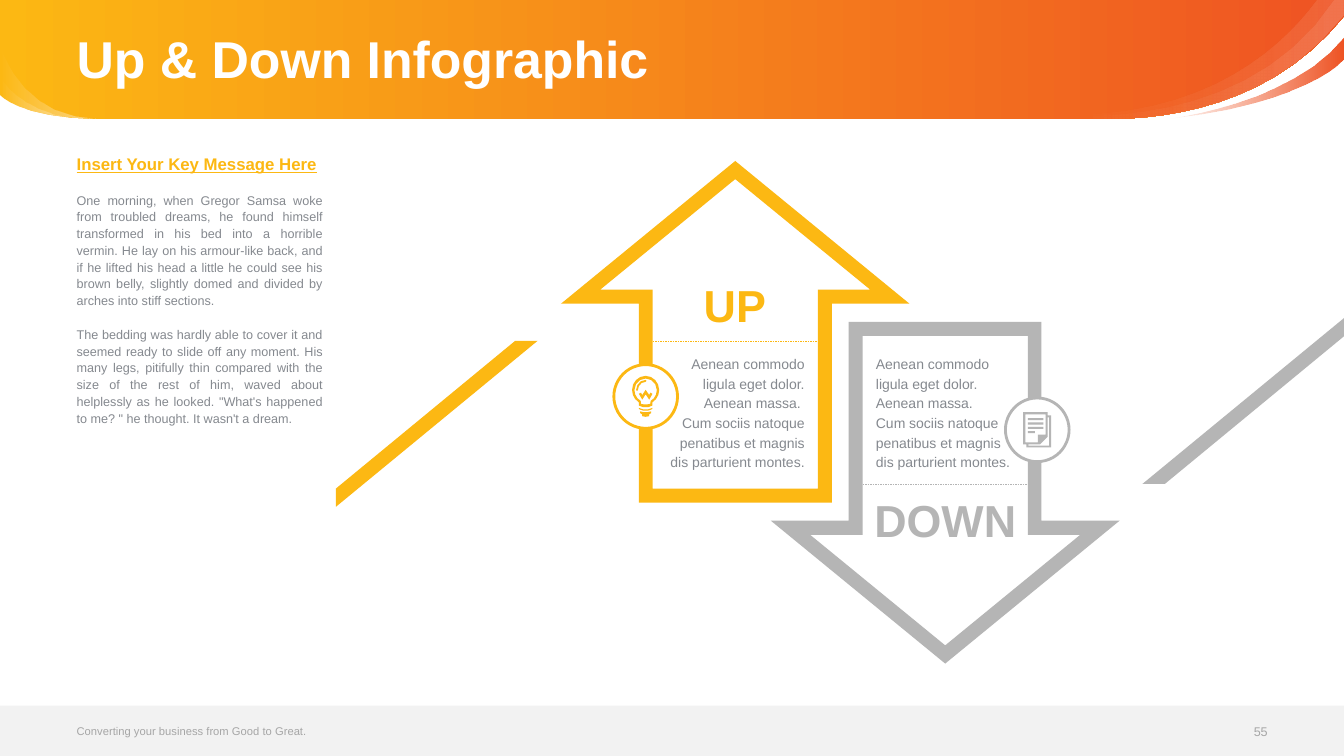
from math import dist, sqrt

from lxml.etree import SubElement
from pptx import Presentation
from pptx.dml.color import RGBColor
from pptx.enum.dml import MSO_LINE
from pptx.enum.shapes import MSO_CONNECTOR, MSO_SHAPE
from pptx.enum.text import MSO_ANCHOR, MSO_AUTO_SIZE, PP_ALIGN
from pptx.oxml.ns import qn
from pptx.util import Pt

COLORS = {"amber": "FCB813", "red": "EF5323", "silver": "B5B5B5", "text": "85898F",
          "muted": "A6A6A6", "footer": "F2F2F2", "white": "FFFFFF"}
WIDTH, HEIGHT = 960, 540
MARGIN = 54.75
ARROW_SIZE = (249, 244)
BAR_SIZE = (144, 118.5)

ARROW = [
    [(193.5, 244), (55.75, 244), (55.75, 102), (0, 102), (124.5, 0), (249, 102), (193.5, 102)],
    [(65.5, 234), (183.5, 234), (183.5, 92), (221, 92), (124.5, 13), (28, 92), (65.5, 92)],
]
BAR = [[(144, 0), (0, 118.5), (0, 105.5), (128, 0)]]
DOCUMENT = [
    [(17.5, 2.2), (17.5, 0), (0, 0), (0, 23), (2.2, 23), (2.2, 25), (20, 25), (20, 2.2)],
    [(1.5, 21.6), (1.5, 1.5), (16, 1.5), (16, 16), (10.5, 16), (10.5, 21.6)],
    [(18.5, 23.8), (3.7, 23.8), (3.7, 23), (12, 23), (17.5, 17.5), (17.5, 3.7), (18.5, 3.7)],
] + [
    [(3.4, y), (right, y), (right, y + 1.5), (3.4, y + 1.5)]
    for y, right in ((4.2, 14.4), (7.3, 14.4), (10.4, 14.4), (13.5, 8.4))
]
# Each step is a point, or two control points followed by an end point.
BULB = [
    [(9.7, 0), (4.3, 0, 0, 4.6, 0, 10.1), (0, 13.7, 1.8, 17, 4.8, 18.9), (4.8, 21.2),
     (7.5, 23, 11.9, 23, 14.6, 21.2), (14.6, 18.9),
     (17.6, 17, 19.4, 13.7, 19.4, 10.1), (19.4, 4.6, 15, 0, 9.7, 0)],
    [(13.3, 17.9), (13, 20), (11, 20.6, 8.4, 20.6, 6.4, 20),
     (6.2, 17.9), (3.5, 16.4, 1.7, 13.5, 1.7, 10.1), (1.7, 5.6, 5.3, 1.9, 9.7, 1.9),
     (14.1, 1.9, 17.7, 5.6, 17.7, 10.1), (17.7, 13.5, 16, 16.4, 13.3, 17.9)],
    [(9.7, 4.3), (10.4, 3.6), (9.7, 2.9), (6, 2.9, 2.9, 6.2, 2.9, 10.1),
     (3.6, 10.8), (4.2, 10.1), (4.2, 6.9, 6.7, 4.3, 9.7, 4.3)],
    [(12.3, 13.7), (9.7, 10), (7.3, 13.7), (6.4, 12), (4.9, 12.8), (7.3, 17),
     (9.7, 13.2), (12.3, 17), (14.6, 12.8), (13.1, 12)],
    [(4.8, 22.9), (5, 23.8), (7.5, 25.4, 11.9, 25.4, 14.4, 23.8),
     (14.6, 22.9), (11.9, 24.4, 7.5, 24.4, 4.8, 22.9)],
    [(5.8, 25.4), (5.8, 26.6), (7.2, 27.5), (7.2, 28.8), (8.7, 29.4, 10.7, 29.4, 12.2, 28.8),
     (12.2, 27.5), (13.6, 26.6), (13.6, 25.4), (11, 26.2, 8.4, 26.2, 5.8, 25.4)],
]
# Outline, then gradient stops as (position, colour, opacity in percent).
HEADER = [
    ([(960, 0), (960, 11.5), (911.5, 72, 842.4, 84.2, 795.6, 85), (70, 85),
      (13, 84.2, 0, 67.7, 0, 67.7), (0, 0)],
     [(0, "amber", 100), (1, "red", 100)]),
    ([(960, 0), (960, 11.5), (881.3, 110.2, 748, 81.4, 744.5, 80.6),
      (748.8, 80.6, 887, 100, 953.3, 0)],
     [(0.15, "white", 0), (1, "white", 10)]),
    ([(833, 85), (833, 85, 923, 74.2, 960, 26.6), (960, 42.5),
      (960, 42.5, 931.7, 74.9, 833, 85)],
     [(0, "red", 0), (1, "red", 100)]),
    ([(960, 0), (960, 11.5), (880.6, 111.6, 744.5, 80.6, 744.5, 80.6),
      (856, 87.8, 914.4, 36, 941, 0)],
     [(0.15, "white", 0), (1, "white", 10)]),
] + [
    ([(70, 85), (13, 84.2, 0, 67.7, 0, 67.7), (0, top), (0, top, 13, 84.2, 70, 85)],
     [(0, "white", 0), (1, "white", 50)])
    for top in (54.7, 32.4)
]


def rgb(name):
    return RGBColor.from_string(COLORS[name])


def flatten(steps):
    """Turn lines and cubic curves into points, with fewer points on shorter curves."""
    points = [steps[0]]
    for step in steps[1:]:
        if len(step) == 2:
            points.append(step)
            continue
        knots = [points[-1], step[:2], step[2:4], step[4:]]
        pieces = max(2, round(sqrt(dist(knots[0], knots[3]))))
        for i in range(1, pieces + 1):
            t = i / pieces
            weights = ((1 - t) ** 3, 3 * t * (1 - t) ** 2, 3 * t * t * (1 - t), t ** 3)
            points.append(tuple(sum(w * k[axis] for w, k in zip(weights, knots)) for axis in (0, 1)))
    return points


def add_outline(slide, contours, left, top, color=None, turned=None):
    """Draw contours as one shape; turned is the size of a box to rotate by half a turn."""
    builder = None
    for contour in contours:
        points = flatten(contour)
        if turned:
            points = [(turned[0] - x, turned[1] - y) for x, y in points]
        start, *rest = [(Pt(left + x), Pt(top + y)) for x, y in points]
        if builder is None:
            builder = slide.shapes.build_freeform(*start)
        else:
            builder.move_to(*start)
        builder.add_line_segments(rest, close=True)
    outline = builder.convert_to_shape()
    outline.shadow.inherit = False
    outline.line.fill.background()
    if color:
        outline.fill.solid()
        outline.fill.fore_color.rgb = rgb(color)
    return outline


def add_preset(slide, kind, left, top, width, height, fill, line=None):
    preset = slide.shapes.add_shape(kind, Pt(left), Pt(top), Pt(width), Pt(height))
    preset.shadow.inherit = False
    preset.fill.solid()
    preset.fill.fore_color.rgb = rgb(fill)
    if line:
        preset.line.color.rgb = rgb(line)
        preset.line.width = Pt(2)
    else:
        preset.line.fill.background()


def place(holder, left, top, width, height, anchor=MSO_ANCHOR.TOP):
    holder.left, holder.top, holder.width, holder.height = Pt(left), Pt(top), Pt(width), Pt(height)
    frame = holder.text_frame
    frame.margin_left = frame.margin_right = frame.margin_top = frame.margin_bottom = 0
    frame.word_wrap = True
    frame.auto_size = MSO_AUTO_SIZE.NONE
    frame.vertical_anchor = anchor
    return frame


def write(frame, texts, size, color, align=PP_ALIGN.LEFT, bold=False, spacing=None):
    paragraphs = []
    for i, text in enumerate(texts):
        paragraph = frame.add_paragraph() if i or frame.text else frame.paragraphs[0]
        paragraph.alignment = align
        paragraph.space_before = Pt(0)
        if spacing:
            paragraph.line_spacing = spacing
        run = paragraph.add_run()
        run.text = text
        run.font.name, run.font.size, run.font.bold = "Arial", Pt(size), bold
        run.font.color.rgb = rgb(color)
        paragraphs.append(paragraph)
    return paragraphs


def add_label(slide, box, texts, size, color, anchor=MSO_ANCHOR.TOP, **style):
    label = slide.shapes.add_textbox(0, 0, 0, 0)
    write(place(label, *box, anchor), texts, size, color, **style)


def add_header(slide):
    for steps, stops in HEADER:
        piece = add_outline(slide, [steps], 0, 0)
        piece.fill.gradient()
        piece.fill.gradient_angle = 0
        for stop, (position, color, _) in zip(piece.fill.gradient_stops, stops):
            stop.position = position
            stop.color.rgb = rgb(color)
        for node, (_, _, opacity) in zip(piece._element.spPr.iter(qn("a:srgbClr")), stops):
            SubElement(node, qn("a:alpha")).set("val", str(opacity * 1000))
    title = slide.shapes.title
    slide.shapes._spTree.append(title._element)
    frame = place(title, MARGIN, 3.6, 850.5, 81.4, MSO_ANCHOR.MIDDLE)
    write(frame, ["Up & Down Infographic"], 37, "white", bold=True, spacing=0.9)


def add_message(slide, left, top, width, height):
    frame = place(slide.placeholders[1], left, top, width, height)
    style = {"align": PP_ALIGN.JUSTIFY, "spacing": Pt(12)}
    heading, = write(frame, ["Insert Your Key Message Here"], 12, "amber", bold=True, **style)
    heading.runs[0].font.underline = True
    story = write(frame, [
        "One morning, when Gregor Samsa woke from troubled dreams, he found himself transformed in his bed into a horrible vermin. He lay on his armour-like back, and if he lifted his head a little he could see his brown belly, slightly domed and divided by arches into stiff sections.",
        "The bedding was hardly able to cover it and seemed ready to slide off any moment. His many legs, pitifully thin compared with the size of the rest of him, waved about helplessly as he looked. \"What's happened to me? \" he thought. It wasn't a dream.",
    ], 9, "text", **style)
    for paragraph in story:
        paragraph.space_before = Pt(12)
    for paragraph in [heading, *story]:
        properties = paragraph._p.get_or_add_pPr()
        properties.set("marL", "0")
        properties.set("indent", "0")
        SubElement(properties, qn("a:buNone"))


def add_arrow(slide, left, top, color, down, word, word_box, texts, text_box, align, rule, icon, badge):
    """Draw an arrow with its rule, badge and texts, all relative to its box."""
    add_outline(slide, ARROW, left, top, color, ARROW_SIZE if down else None)
    divider = slide.shapes.add_connector(MSO_CONNECTOR.STRAIGHT, Pt(left + 65.5), Pt(top + rule),
                                         Pt(left + 183.5), Pt(top + rule))
    divider.line.color.rgb = rgb(color)
    divider.line.width = Pt(0.25)
    divider.line.dash_style = MSO_LINE.DASH
    SubElement(divider._element.spPr, qn("a:effectLst"))
    x, y = left + badge[0], top + badge[1]
    add_preset(slide, MSO_SHAPE.OVAL, x - 22.75, y - 22.75, 45.5, 45.5, "white", color)
    contours, width, height = icon
    add_outline(slide, contours, x - width / 2, y - height / 2, color)
    for box, content, size, tint, style in (
            (text_box, texts, 10, "text", {"align": align, "spacing": Pt(14)}),
            (word_box, [word], 32, color, {"align": PP_ALIGN.CENTER, "bold": True})):
        add_label(slide, (left + box[0], top + box[1], *box[2:]), content, size, tint, **style)


def add_footer(slide, top, height):
    add_preset(slide, MSO_SHAPE.RECTANGLE, 0, top, WIDTH, height, "footer")
    add_label(slide, (MARGIN, top + 8.6, 376.5, 18.7), ["Converting your business from Good to Great."],
              8, "muted", MSO_ANCHOR.MIDDLE)
    add_label(slide, (860.3, top + 9.4, 45.3, 18.7), ["55"], 9, "muted", MSO_ANCHOR.MIDDLE,
              align=PP_ALIGN.RIGHT)


def main():
    deck = Presentation()
    deck.slide_width, deck.slide_height = Pt(WIDTH), Pt(HEIGHT)
    slide = deck.slides.add_slide(deck.slide_layouts[1])
    add_header(slide)
    add_footer(slide, 504, 36)
    add_message(slide, MARGIN, 112.3, 175.7, 373.7)
    add_outline(slide, BAR, 240, 243.5, "amber")
    add_outline(slide, BAR, 816, 227.25, "silver", BAR_SIZE)
    closing = "Cum sociis natoque penatibus et magnis dis parturient montes."
    add_arrow(slide, 550.7, 230, "silver", True, "DOWN", (69, 122, 111, 39),
              ["Aenean commodo ligula eget dolor. Aenean massa.", closing], (75, 22, 99.5, 85),
              PP_ALIGN.LEFT, 115.7, (DOCUMENT, 20, 25), (190.2, 77))
    add_arrow(slide, 400.7, 115, "amber", False, "UP", (74.5, 83.7, 99.5, 39),
              ["Aenean commodo ligula eget dolor. Aenean massa. ", closing], (74.5, 137, 99.5, 85),
              PP_ALIGN.RIGHT, 128.5, (BULB, 19.4, 29.4), (60.5, 168.2))
    deck.save("out.pptx")


if __name__ == "__main__":
    main()
